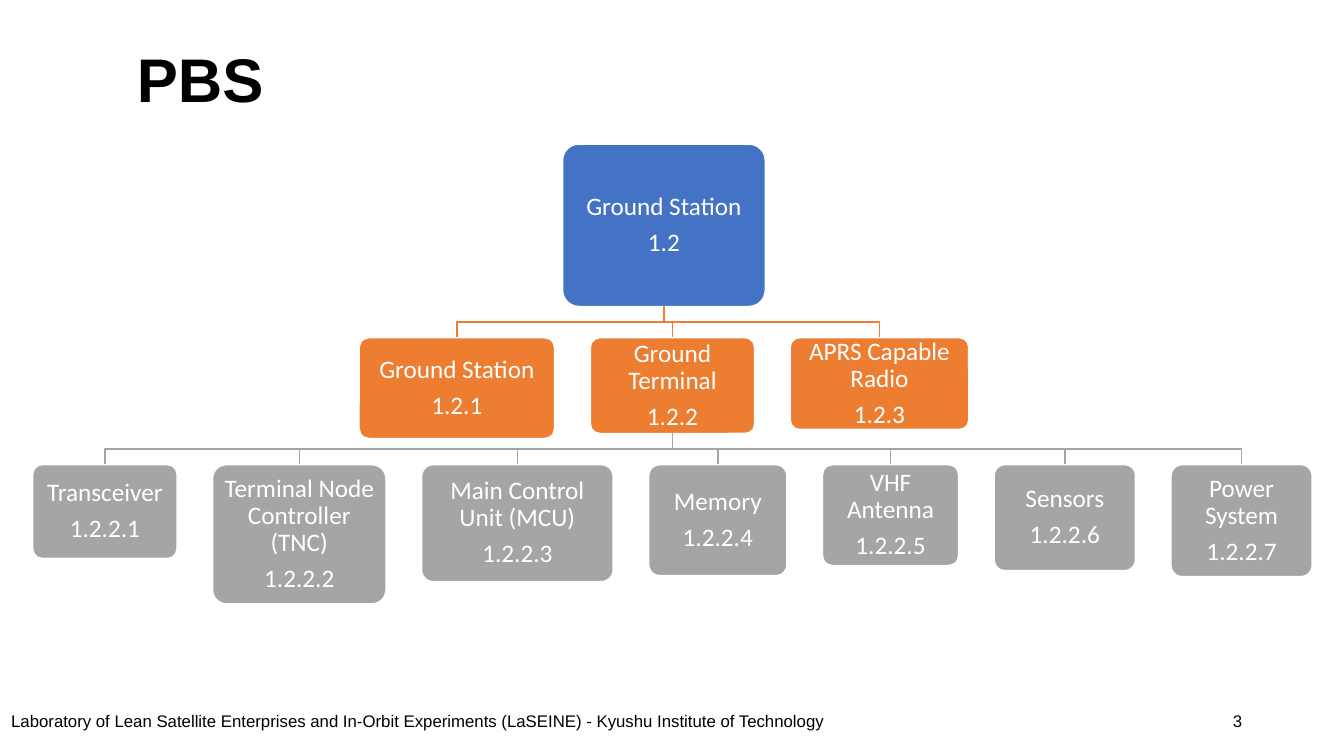
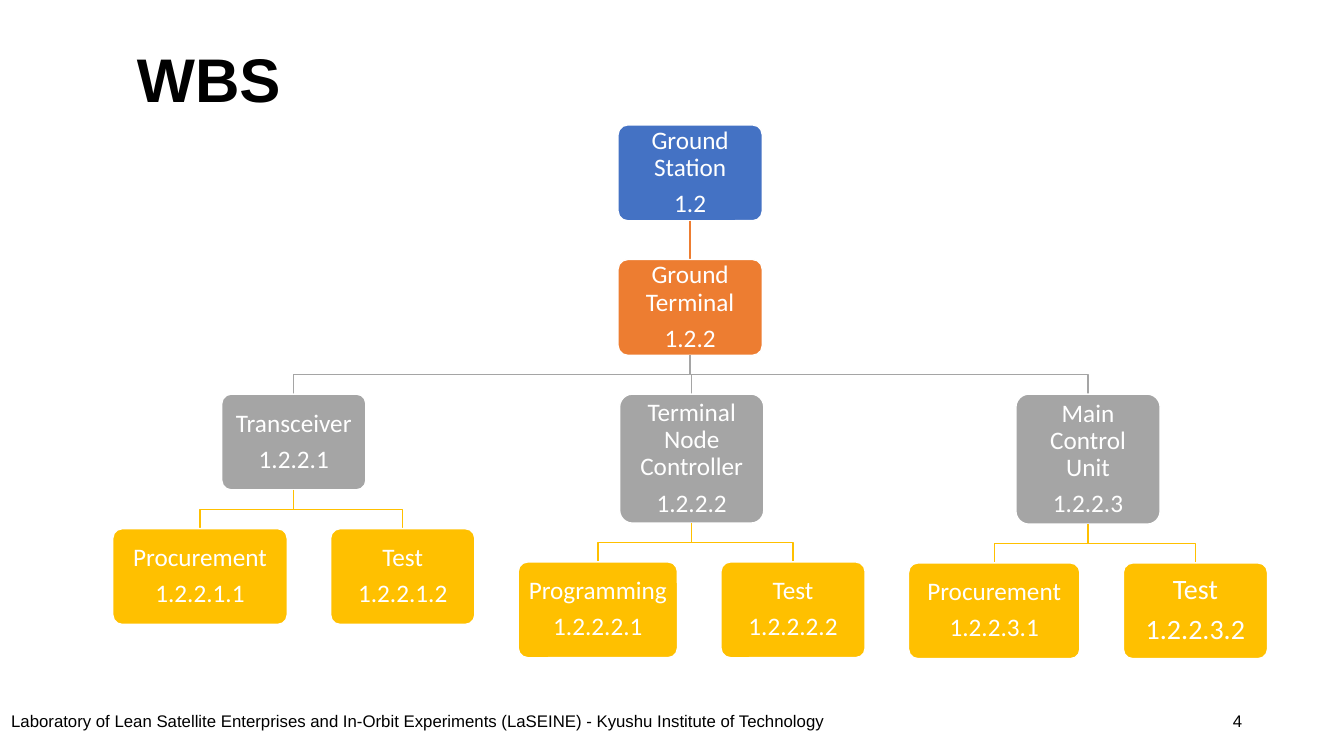
import dataclasses

import pptx
import pptx.dml.color
import pptx.enum.shapes
import pptx.enum.text
import pptx.util
from lxml import etree

COLORS = {
    "ink": "000000", "paper": "FFFFFF",
    "system": "4472C4", "segment": "ED7D31", "unit": "A5A5A5", "task": "FFC000",
}
LEVELS = ("system", "segment", "unit", "task")
HEADING_FONT, BOX_FONT = "Arial", "Calibri"
SLIDE_WIDTH, SLIDE_HEIGHT = pptx.util.Inches(13.33), pptx.util.Inches(7.5)
FOOTER = ("Laboratory of Lean Satellite Enterprises and In-Orbit Experiments "
          "(LaSEINE) - Kyushu Institute of Technology")
ALIGN = pptx.enum.text.PP_ALIGN
MIDDLE = pptx.enum.text.MSO_ANCHOR.MIDDLE


# All lengths are percentages of the slide's width or height.
@dataclasses.dataclass
class Item:
    name: str
    code: str
    width: float = 10.73
    height: float = 12.67
    children: tuple = ()
    size: int = 18


@dataclasses.dataclass
class Breakdown:
    title: str
    root: Item
    center: float
    top: float
    sibling_gap: float
    level_gap: float
    reserve_branches: bool  # siblings keep clear of each other's descendants


PBS = Breakdown("PBS", Item("Ground Station", "1.2", 15.08, 21.47, (
    Item("Ground Station", "1.2.1", 14.55, 13.33),
    Item("Ground Terminal", "1.2.2", 12.23, 12.67, (
        Item("Transceiver", "1.2.2.1", 10.73, 12.4),
        Item("Terminal Node Controller (TNC)", "1.2.2.2", 12.9, 18.4),
        Item("Main Control Unit (MCU)", "1.2.2.3", 14.25, 15.47),
        Item("Memory", "1.2.2.4", 10.28, 14.67),
        Item("VHF Antenna", "1.2.2.5", 10.13, 13.33),
        Item("Sensors", "1.2.2.6", 10.5, 14),
        Item("Power System", "1.2.2.7", 10.5, 14.8),
    )),
    Item("APRS Capable Radio", "1.2.3", 13.28, 12.13),
)), center=49.4, top=19.07, sibling_gap=2.65, level_gap=4.13, reserve_branches=False)

WBS = Breakdown("WBS", Item("Ground Station", "1.2", children=(
    Item("Ground Terminal", "1.2.2", children=(
        Item("Transceiver", "1.2.2.1", children=(
            Item("Procurement", "1.2.2.1.1", 12.98),
            Item("Test", "1.2.2.1.2"),
        )),
        Item("Terminal Node Controller", "1.2.2.2", height=17.07, children=(
            Item("Programming", "1.2.2.2.1", 11.85),
            Item("Test", "1.2.2.2.2"),
        )),
        Item("Main Control Unit", "1.2.2.3", height=17.2, children=(
            Item("Procurement", "1.2.2.3.1", 12.75),
            Item("Test", "1.2.2.3.2", size=20),
        )),
    )),
)), center=51.35, top=16.53, sibling_gap=3.23, level_gap=5.13, reserve_branches=True)


def across(share):
    return round(SLIDE_WIDTH * share / 100)


def down(share):
    return round(SLIDE_HEIGHT * share / 100)


def paint(color_format, role):
    color_format.rgb = pptx.dml.color.RGBColor.from_string(COLORS[role])


def add_text(paragraph, text, font, size, role, bold=False):
    run = paragraph.add_run()
    run.text = text
    run.font.name, run.font.size, run.font.bold = font, pptx.util.Pt(size), bold
    paint(run.font.color, role)


# Title, footer and page number
def add_label(slide, text, left, top, width, height, size, align=ALIGN.LEFT, bold=False):
    label = slide.shapes.add_textbox(across(left), down(top), across(width), down(height))
    frame = label.text_frame
    frame.word_wrap, frame.vertical_anchor = True, MIDDLE
    paragraph = frame.paragraphs[0]
    paragraph.alignment = align
    add_text(paragraph, text, HEADING_FONT, size, "ink", bold)
    return frame


def add_page(deck, title, number):
    slide = deck.slides.add_slide(deck.slide_layouts[6])
    heading = add_label(slide, title, 9.45, 5.33, 83.72, 11.07, 44, bold=True)
    heading.paragraphs[0].line_spacing = 0.9
    footer = add_label(slide, FOOTER, 0.83, 93.6, 65, 3.07, 12)
    footer.margin_left = footer.margin_right = footer.margin_bottom = 0
    footer.margin_top = pptx.util.Inches(0.03)
    add_label(slide, str(number), 70.67, 92.67, 22.5, 5.33, 12, ALIGN.RIGHT)
    return slide


# Boxes and branches of the tree
def add_box(slide, item, center, top, role):
    box = slide.shapes.add_shape(
        pptx.enum.shapes.MSO_SHAPE.ROUNDED_RECTANGLE, across(center - item.width / 2),
        down(top), across(item.width), down(item.height))
    box.adjustments[0] = 0.1
    box.shadow.inherit = False
    box.fill.solid()
    paint(box.fill.fore_color, role)
    paint(box.line.color, "paper")
    box.line.width = pptx.util.Pt(1)
    frame = box.text_frame
    frame.word_wrap, frame.vertical_anchor = True, MIDDLE
    frame.margin_left = frame.margin_right = pptx.util.Inches(0.07)
    frame.margin_top = frame.margin_bottom = pptx.util.Inches(0.07)
    for index, text in enumerate((item.name, item.code)):
        paragraph = frame.add_paragraph() if index else frame.paragraphs[0]
        paragraph.alignment, paragraph.line_spacing = ALIGN.CENTER, 0.9
        paragraph.space_after = pptx.util.Pt(0.35 * item.size)
        add_text(paragraph, text, BOX_FONT, item.size, "paper")


def add_branch(slide, start_x, start_y, end_x, end_y, role):
    x1, y1, x2, y2 = across(start_x), down(start_y), across(end_x), down(end_y)
    if abs(start_x - end_x) < 0.05:
        branch = slide.shapes.add_connector(
            pptx.enum.shapes.MSO_CONNECTOR.STRAIGHT, x1, y1, x1, y2)
        etree.SubElement(branch.element.spPr, pptx.oxml.ns.qn("a:effectLst"))
    else:
        bend = (y1 + y2) // 2
        outline = slide.shapes.build_freeform(x1, y1)
        outline.add_line_segments([(x1, bend), (x2, bend), (x2, y2)], close=False)
        branch = outline.convert_to_shape()
        branch.fill.background()
        branch.shadow.inherit = False
    paint(branch.line.color, role)
    branch.line.width = pptx.util.Pt(1)


# Each row of children is centred under its parent
def row_width(widths, gap):
    return sum(widths) + gap * (len(widths) - 1)


def reserved_width(item, plan):
    if not (plan.reserve_branches and item.children):
        return item.width
    widths = [reserved_width(child, plan) for child in item.children]
    return max(item.width, row_width(widths, plan.sibling_gap))


def add_tree(slide, plan, item, center, top, level=0):
    add_box(slide, item, center, top, LEVELS[level])
    bottom = top + item.height
    child_top = bottom + plan.level_gap
    widths = [reserved_width(child, plan) for child in item.children]
    left = center - row_width(widths, plan.sibling_gap) / 2
    for child, width in zip(item.children, widths):
        child_center = left + width / 2
        add_branch(slide, center, bottom, child_center, child_top, LEVELS[level + 1])
        add_tree(slide, plan, child, child_center, child_top, level + 1)
        left += width + plan.sibling_gap


def main():
    deck = pptx.Presentation()
    deck.slide_width, deck.slide_height = SLIDE_WIDTH, SLIDE_HEIGHT
    for number, plan in enumerate((PBS, WBS), start=3):
        slide = add_page(deck, plan.title, number)
        add_tree(slide, plan, plan.root, plan.center, plan.top)
    deck.save("out.pptx")


if __name__ == "__main__":
    main()
